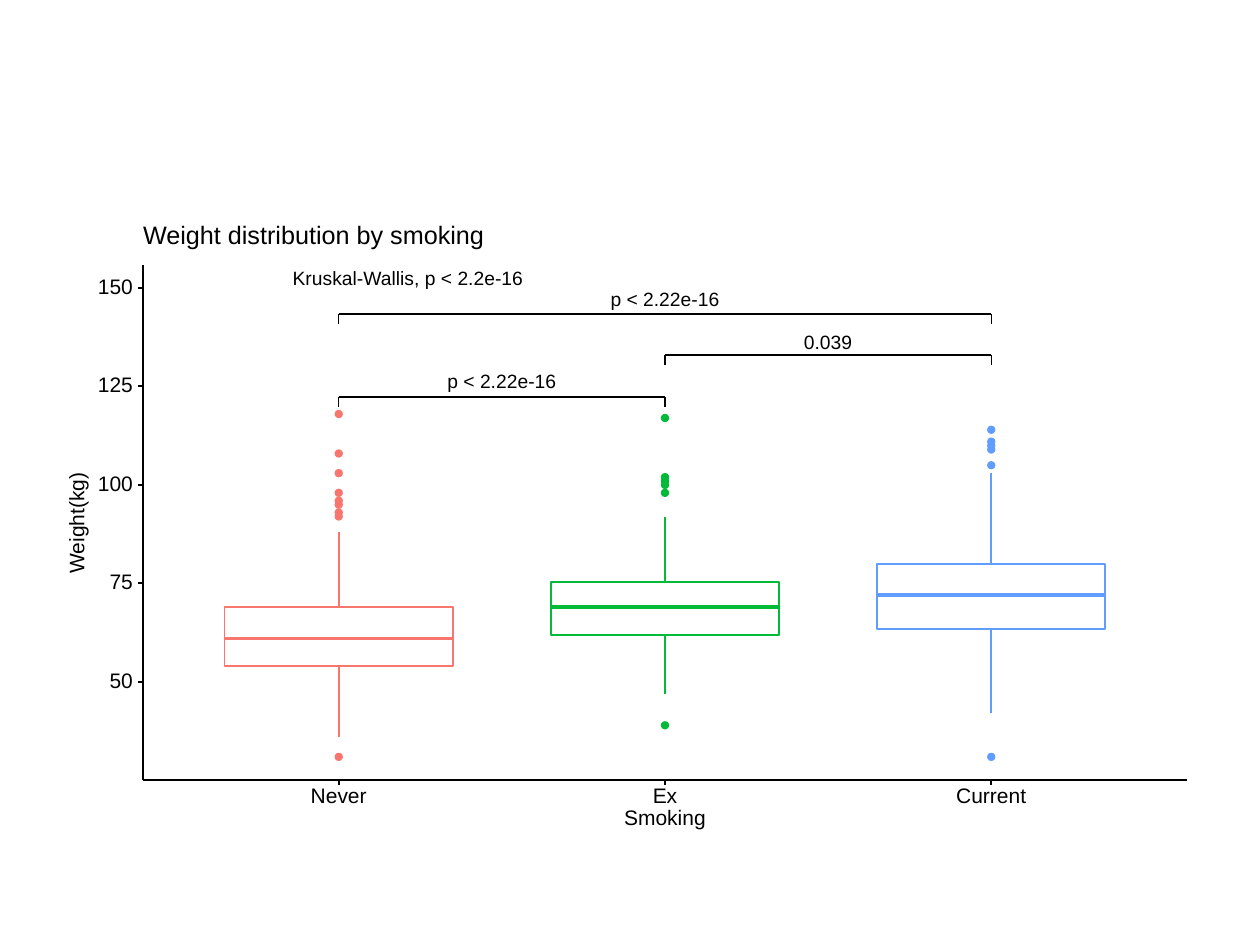
"""Draw a box plot of weight by smoking status with pairwise p-values."""
import lxml.etree
import pptx
import pptx.dml.color
import pptx.enum.shapes
import pptx.enum.text
import pptx.oxml.ns
import pptx.util

RGBColor = pptx.dml.color.RGBColor
Align = pptx.enum.text.PP_ALIGN
Shape = pptx.enum.shapes.MSO_SHAPE

BLACK = RGBColor(0x00, 0x00, 0x00)
WHITE = RGBColor(0xFF, 0xFF, 0xFF)
RED = RGBColor(0xF8, 0x76, 0x6D)
GREEN = RGBColor(0x00, 0xBA, 0x38)
BLUE = RGBColor(0x61, 0x9C, 0xFF)

TITLE = "Weight distribution by smoking"
GROUPS = [
    {"name": "Never", "color": RED, "five": (36, 54, 61, 69, 88),
     "outliers": (31, 92, 93, 95, 96, 98, 103, 108, 118)},
    {"name": "Ex", "color": GREEN, "five": (47, 62, 69, 75.4, 92),
     "outliers": (39, 98, 100, 101, 102, 117)},
    {"name": "Current", "color": BLUE, "five": (42, 63.5, 72, 80, 103),
     "outliers": (31, 105, 109, 110, 111, 114)},
]
COMPARISONS = [
    (0, 1, "p < 2.22e-16", 397, 383),
    (0, 2, "p < 2.22e-16", 314, 301),
    (1, 2, "0.039", 355, 344),
]
TICKS = range(50, 151, 25)

PX = 914400 / 126
AXIS_LEFT, AXIS_RIGHT, AXIS_TOP, AXIS_BOTTOM = 143, 1187, 265, 780
GROUP_STEP = (AXIS_RIGHT - AXIS_LEFT) / 3.2
FIRST_CENTER = AXIS_LEFT + 0.6 * GROUP_STEP
BOX_WIDTH = 0.7 * GROUP_STEP
DOT, TICK_LENGTH, BRACKET_TIP = 7, 5, 10
THIN, REGULAR, TICK_LINE, THICK = 0.64, 1.07, 1.16, 2.13


def px(*lengths):
    return [pptx.util.Emu(round(length * PX)) for length in lengths]


def weight_y(weight):
    return 682 - (weight - 50) * 3.94


def center_x(index):
    return FIRST_CENTER + index * GROUP_STEP


def add_line(slide, x1, y1, x2, y2, color, width):
    line = slide.shapes.add_connector(
        pptx.enum.shapes.MSO_CONNECTOR.STRAIGHT, *px(x1, y1, x2, y2))
    line.line.color.rgb = color
    line.line.width = pptx.util.Pt(width)
    properties = line._element.spPr
    lxml.etree.SubElement(properties, pptx.oxml.ns.qn("a:effectLst"))


def add_filled(slide, kind, box, fill, color, width):
    shape = slide.shapes.add_shape(kind, *px(*box))
    shape.shadow.inherit = False
    shape.fill.solid()
    shape.fill.fore_color.rgb = fill
    shape.line.color.rgb = color
    shape.line.width = pptx.util.Pt(width)


def write(shape, text, size, align):
    frame = shape.text_frame
    frame.text = text
    frame.word_wrap = False
    frame.auto_size = pptx.enum.text.MSO_AUTO_SIZE.NONE
    frame.vertical_anchor = pptx.enum.text.MSO_ANCHOR.MIDDLE
    frame.margin_left = frame.margin_right = 0
    frame.margin_top = frame.margin_bottom = 0
    paragraph = frame.paragraphs[0]
    paragraph.alignment = align
    paragraph.line_spacing = pptx.util.Pt(size)
    paragraph.font.size = pptx.util.Pt(size)
    paragraph.font.name = "Arial"
    paragraph.font.color.rgb = BLACK


def add_label(slide, text, x, y, width, size=12, align=Align.CENTER):
    height = 18
    box = slide.shapes.add_textbox(
        *px(x - width / 2, y - height / 2, width, height))
    write(box, text, size, align)
    return box


def add_group(slide, index, group):
    x, color = center_x(index), group["color"]
    low, lower, middle, upper, high = map(weight_y, group["five"])
    left, right = x - BOX_WIDTH / 2, x + BOX_WIDTH / 2
    for weight in group["outliers"]:
        dot = (x - DOT / 2, weight_y(weight) - DOT / 2, DOT, DOT)
        add_filled(slide, Shape.OVAL, dot, color, color, 0.71)
    add_line(slide, x, upper, x, high, color, REGULAR)
    add_line(slide, x, lower, x, low, color, REGULAR)
    add_filled(slide, Shape.RECTANGLE, (left, upper, BOX_WIDTH, lower - upper),
               WHITE, color, REGULAR)
    add_line(slide, left, middle, right, middle, color, THICK)
    add_line(slide, x, AXIS_BOTTOM, x, AXIS_BOTTOM + TICK_LENGTH, BLACK, TICK_LINE)
    add_label(slide, group["name"], x, 797, 70)


def add_comparison(slide, first, second, text, y, label_y):
    left, right = center_x(first), center_x(second)
    add_line(slide, left, y, right, y, BLACK, THIN)
    for x in (left, right):
        add_line(slide, x, y, x, y + BRACKET_TIP, BLACK, THIN)
    add_label(slide, text, (left + right) / 2, label_y, 110, 11)


def add_axes(slide):
    add_line(slide, AXIS_LEFT, AXIS_BOTTOM, AXIS_LEFT, AXIS_TOP, BLACK, REGULAR)
    add_line(slide, AXIS_LEFT, AXIS_BOTTOM, AXIS_RIGHT, AXIS_BOTTOM, BLACK, REGULAR)
    for weight in TICKS:
        y = weight_y(weight)
        add_line(slide, AXIS_LEFT - TICK_LENGTH, y, AXIS_LEFT, y, BLACK, TICK_LINE)
        add_label(slide, str(weight), 115, y, 36, align=Align.RIGHT)
    add_label(slide, "Smoking", center_x(1), 819, 82)
    add_label(slide, "Weight(kg)", 78, 523, 102).rotation = 270


def main():
    presentation = pptx.Presentation()
    presentation.slide_width, presentation.slide_height = px(1260, 945)
    slide = presentation.slides.add_slide(presentation.slide_layouts[5])
    title = slide.shapes.title
    title.left, title.top, title.width, title.height = px(AXIS_LEFT, 225, 342, 24)
    write(title, TITLE, 14.4, Align.LEFT)
    for index, group in enumerate(GROUPS):
        add_group(slide, index, group)
    for comparison in COMPARISONS:
        add_comparison(slide, *comparison)
    add_label(slide, "Kruskal-Wallis, p < 2.2e-16", 408, 280, 232, 11)
    add_axes(slide)
    presentation.save("out.pptx")


if __name__ == "__main__":
    main()
